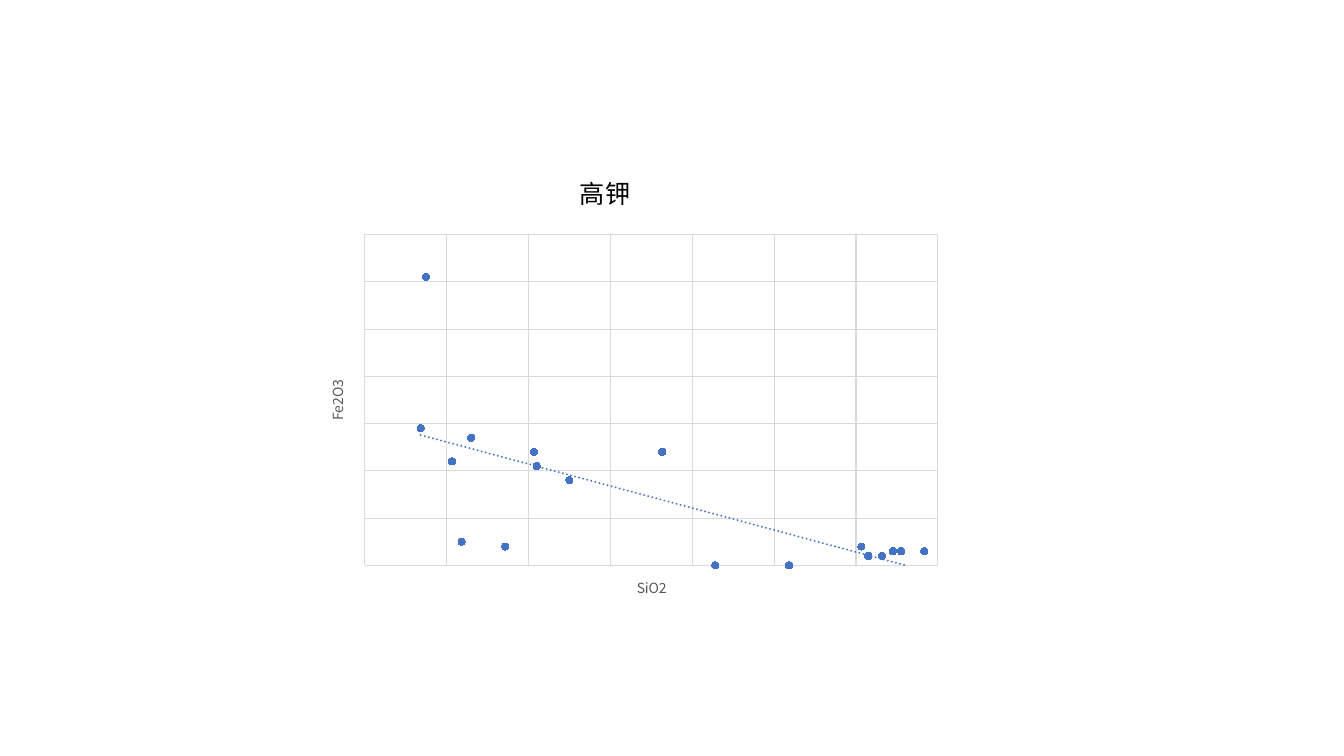
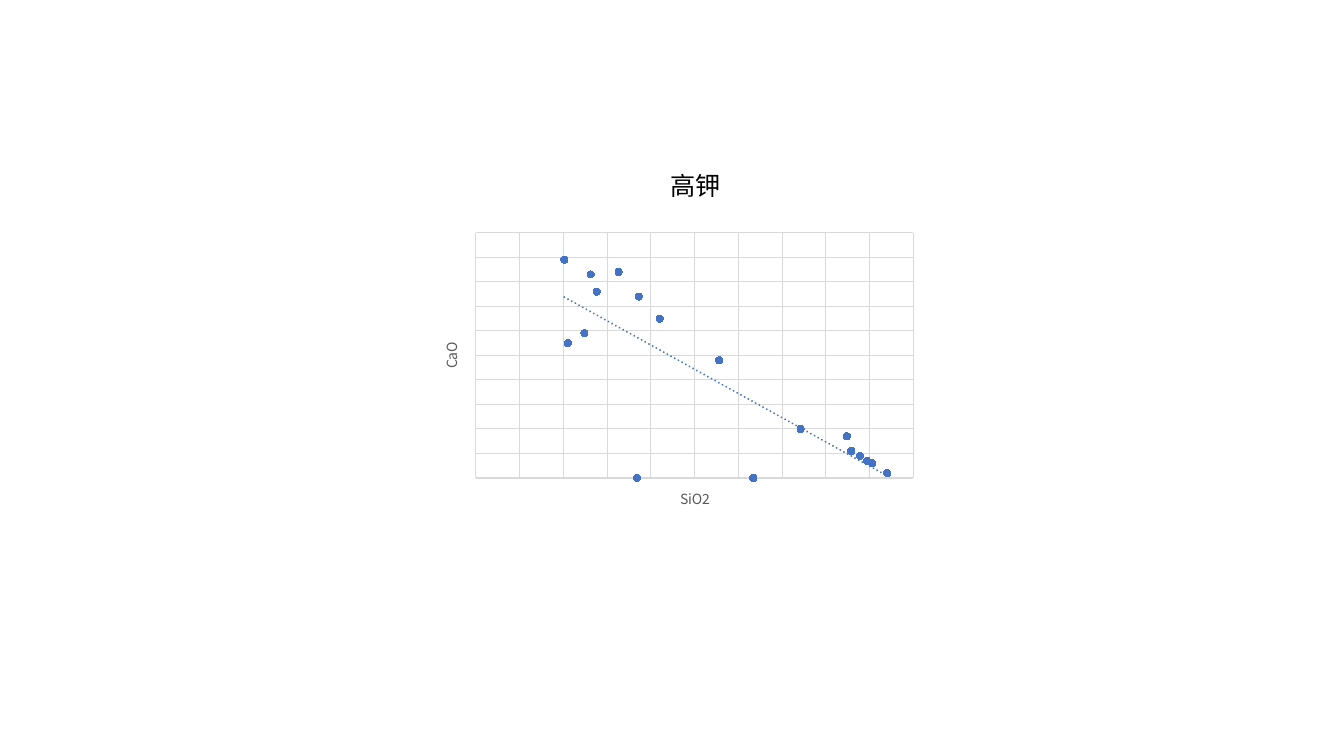
from pptx import Presentation
from pptx.chart.data import XyChartData
from pptx.dml.color import RGBColor
from pptx.enum.chart import XL_CHART_TYPE, XL_MARKER_STYLE
from pptx.enum.text import MSO_ANCHOR, MSO_AUTO_SIZE, PP_ALIGN
from pptx.oxml import parse_xml
from pptx.oxml.ns import nsdecls, qn
from pptx.util import Pt

SCATTER = XL_CHART_TYPE.XY_SCATTER
CIRCLE = XL_MARKER_STYLE.CIRCLE
TOP, LEFT = MSO_ANCHOR.TOP, PP_ALIGN.LEFT
FIT_SHAPE = MSO_AUTO_SIZE.SHAPE_TO_FIT_TEXT
TITLE_ONLY = 5

FONT = "Noto Sans CJK SC"
BLACK, GREY, GRID, BLUE = "000000", "595959", "D9D9D9", "4472C4"

SIO2 = [71, 87.1, 62.4, 68.6, 63.8, 68.4, 60.5, 92.9, 94.7,
        97, 95.3, 60.1, 63.1, 66.3, 81.7, 77.8, 92.4, 93.9]
FE2O3 = [1.8, 0, 2.2, 2.1, 2.7, 2.4, 6.1, 0.2, 0.3,
         0.3, 0.3, 2.9, 0.5, 0.4, 0, 2.4, 0.4, 0.2]
CAO = [6.5, 2, 5.9, 7.4, 7.6, 0, 5.5, 1.1, 0.7,
       0.2, 0.6, 8.9, 8.3, 8.4, 0, 4.8, 1.7, 0.9]


def rgb(color):
    return RGBColor.from_string(color)


def set_line(line, color, width):
    line.color.rgb = rgb(color)
    line.width = Pt(width)


def write(tf, text, size, color):
    p = tf.paragraphs[0]
    r = p.add_run()
    r.text = text
    r.font.size, r.font.name, r.font.bold = Pt(size), FONT, False
    r.font.color.rgb = rgb(color)
    latin = r.font._element.find(qn("a:latin"))
    latin.addnext(parse_xml(f'<a:ea {nsdecls("a")} typeface="{FONT}"/>'))
    return p


def add_title(slide, text, left, top, width):
    sp = slide.shapes.title
    sp.left, sp.top, sp.width, sp.height = map(Pt, (left, top, width, 29))
    tf = sp.text_frame
    tf.auto_size, tf.vertical_anchor, tf.word_wrap = FIT_SHAPE, TOP, True
    write(tf, text, 18, BLACK).alignment = LEFT


def place(element, index, size, rect):
    """Fix a chart part at rect, in points within a chart of the given size."""
    old = element.find(qn("c:layout"))
    if old is not None:
        element.remove(old)
    target = '<c:layoutTarget val="inner"/>' if len(rect) == 4 else ""
    values = "".join(f'<c:{key} val="{length / full:.4f}"/>'
                     for key, length, full in zip("xywh", rect, size * 2))
    element.insert(index, parse_xml(
        f'<c:layout {nsdecls("c")}><c:manualLayout>{target}'
        '<c:xMode val="edge"/><c:yMode val="edge"/>'
        f'{values}</c:manualLayout></c:layout>'))


def format_axis(axis, title, scale, size, spot, rotation=0):
    """Hide the axis itself, but keep its grid and its title."""
    axis.visible = False
    axis.minimum_scale, axis.maximum_scale, axis.major_unit = scale
    axis.has_major_gridlines = True
    set_line(axis.major_gridlines.format.line, GRID, 0.75)
    tf = axis.axis_title.text_frame
    write(tf, title, 10, GREY)
    body = tf._txBody.bodyPr
    body.set("rot", str(rotation * 60000))
    body.set("vert", "horz")
    place(axis.axis_title._element, 1, size, spot)


def add_trend(series):
    series._element.find(qn("c:xVal")).addprevious(parse_xml(
        f'<c:trendline {nsdecls("c", "a")}><c:spPr>'
        f'<a:ln w="{Pt(1.5)}" cap="rnd"><a:solidFill><a:srgbClr val="{BLUE}"/>'
        '</a:solidFill><a:prstDash val="sysDot"/></a:ln></c:spPr>'
        '<c:trendlineType val="linear"/><c:dispRSqr val="0"/>'
        '<c:dispEq val="0"/></c:trendline>'))


def add_scatter(slide, box, oxide, values, x_scale, y_scale,
                plot, x_spot, y_spot):
    data = XyChartData()
    points = data.add_series("Series 1")
    for x, y in zip(SIO2, values):
        points.add_data_point(x, y)
    chart = slide.shapes.add_chart(SCATTER, *map(Pt, box), data).chart
    chart.has_title = chart.has_legend = False
    chart.font.name, chart.font.size = FONT, Pt(10)
    chart.font.color.rgb = rgb(BLACK)
    chart.plots[0].vary_by_categories = False

    series = chart.plots[0].series[0]
    series.smooth = False
    series.format.line.fill.background()
    marker = series.marker
    marker.style, marker.size = CIRCLE, 5
    marker.format.fill.solid()
    marker.format.fill.fore_color.rgb = rgb(BLUE)
    set_line(marker.format.line, BLUE, 0.75)
    add_trend(series)

    size = box[2:]
    format_axis(chart.category_axis, "SiO2", x_scale, size, x_spot)
    format_axis(chart.value_axis, oxide, y_scale, size, y_spot, rotation=-90)
    place(chart._chartSpace.chart.plotArea, 0, size, plot)


def main():
    prs = Presentation()
    prs.slide_width, prs.slide_height = Pt(960), Pt(540)
    layout = prs.slide_layouts[TITLE_ONLY]

    slide = prs.slides.add_slide(layout)
    add_scatter(slide, (218, 162, 461.5, 280), "Fe2O3", FE2O3,
                (56, 98, 6), (0, 7, 1), plot=(42.5, 5.5, 409.5, 236.5),
                x_spot=(235, 247.8), y_spot=(12.8, 107.8))
    add_title(slide, "高钾", 407, 124, 173.5)

    slide = prs.slides.add_slide(layout)
    add_scatter(slide, (300, 162, 360, 216), "CaO", CAO,
                (50, 100, 5), (0, 10, 1), plot=(40, 4.3, 312.5, 175.2),
                x_spot=(184, 184.4), y_spot=(12.3, 80.7))
    add_title(slide, "高钾", 471.5, 118, 223)

    prs.save("out.pptx")


if __name__ == "__main__":
    main()
